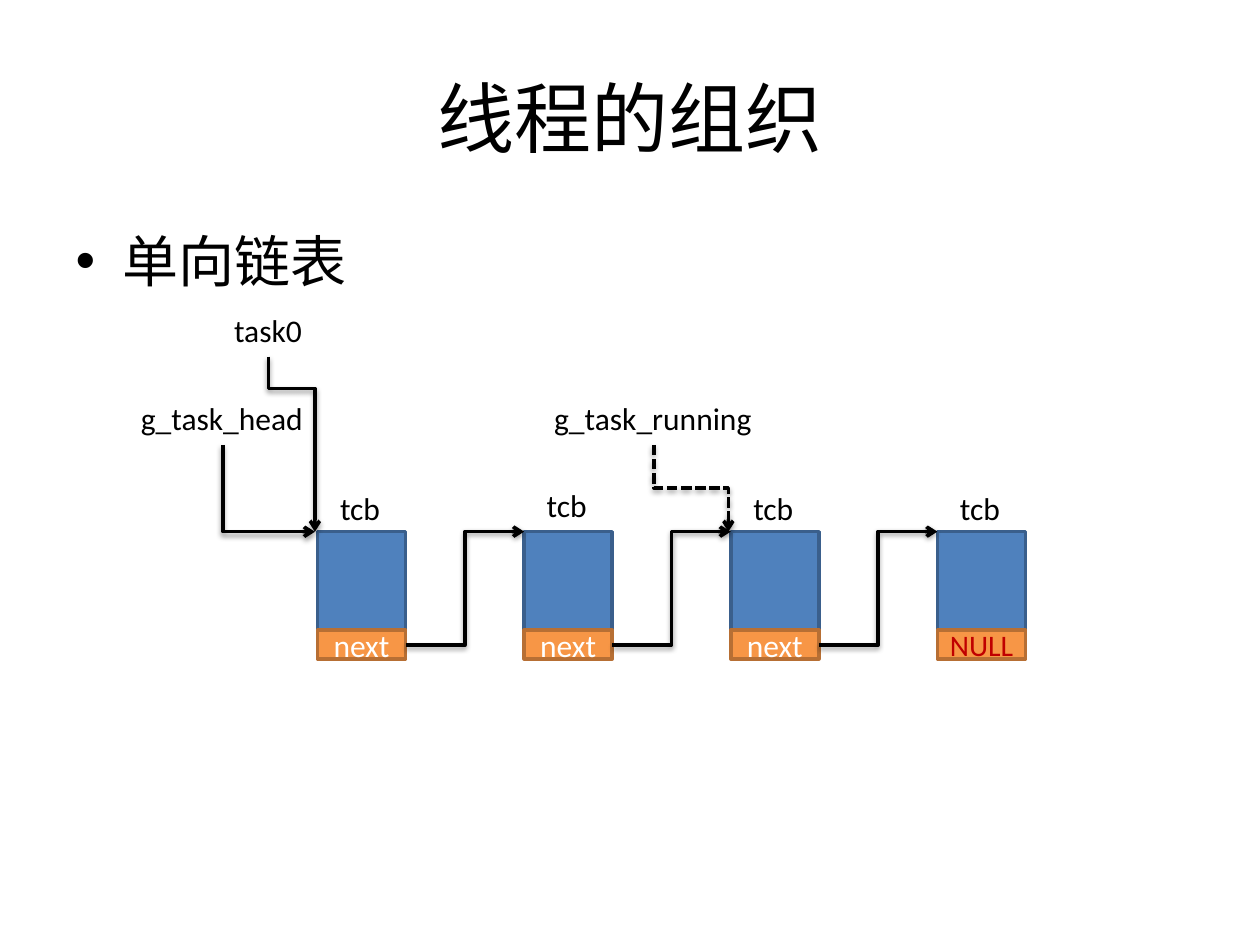
from typing import NamedTuple

from lxml.etree import SubElement as Sub
from pptx import Presentation
from pptx.dml.color import RGBColor
from pptx.enum.dml import MSO_LINE
from pptx.enum.shapes import MSO_CONNECTOR as Conn, MSO_SHAPE as Shape
from pptx.enum.text import MSO_ANCHOR as Anchor, MSO_AUTO_SIZE as Auto, PP_ALIGN as Align
from pptx.oxml.ns import qn
from pptx.util import Inches, Pt

BLACK = RGBColor(0x00, 0x00, 0x00)
WHITE = RGBColor(0xFF, 0xFF, 0xFF)
RED = RGBColor(0xC0, 0x00, 0x00)
BLUE = RGBColor(0x4F, 0x81, 0xBD)
NAVY = RGBColor(0x3A, 0x5F, 0x8C)
ORANGE = RGBColor(0xF7, 0x96, 0x46)
BROWN = RGBColor(0xB7, 0x6F, 0x34)

LEFT, TOP, STEP = 2.52, 4.22, 1.64
WIDTH, TALL, SLOT = 0.7, 0.78, 0.23


class Node(NamedTuple):
    text: str
    size: int
    color: RGBColor
    tag: float


class Label(NamedTuple):
    text: str
    x: float
    y: float
    width: float


class Link(NamedTuple):
    x1: float
    y1: float
    x2: float
    y2: float
    down: bool = True
    kind: str = "bentConnector3"
    bend: float = 0.5
    dash: bool = False


NODES = [
    Node("next", 18, WHITE, 3.83),
    Node("next", 18, WHITE, 3.81),
    Node("next", 18, WHITE, 3.83),
    Node("NULL", 17, RED, 3.83),
]
LABELS = [
    Label("g_task_head", 1.02, 3.12, 1.5),
    Label("g_task_running", 4.3, 3.12, 1.79),
    Label("task0", 1.76, 2.42, 0.74),
]
LINKS = [
    Link(1.77, 3.53, 2.5, TOP, kind="bentConnector2"),
    Link(5.19, 3.53, 5.78, TOP, dash=True),
    Link(2.13, 2.83, 2.5, TOP, bend=0.183),
]

deck = Presentation()
deck.slide_width, deck.slide_height = Inches(10), Inches(7.5)
slide = deck.slides.add_slide(deck.slide_layouts[1])
shapes = slide.shapes


def style(para, size: int, color: RGBColor) -> None:
    para.font.name = "Calibri"
    para.font.size = Pt(size)
    para.font.color.rgb = color


def fill_holder(holder, text: str, size: int, y: float, height: float) -> None:
    holder.left, holder.top = Inches(0.5), Inches(y)
    holder.width, holder.height = Inches(9), Inches(height)
    holder.text_frame.text = text
    style(holder.text_frame.paragraphs[0], size, BLACK)


def add_box(x: float, y: float, height: float, fill: RGBColor, edge: RGBColor):
    box = shapes.add_shape(
        Shape.RECTANGLE, Inches(x), Inches(y), Inches(WIDTH), Inches(height))
    box.shadow.inherit = False
    box.fill.solid()
    box.fill.fore_color.rgb = fill
    box.line.color.rgb = edge
    box.line.width = Pt(2)
    return box


def add_label(label: Label) -> None:
    box = shapes.add_textbox(
        Inches(label.x), Inches(label.y), Inches(label.width), Inches(0.4))
    frame = box.text_frame
    frame.word_wrap = False
    frame.auto_size = Auto.SHAPE_TO_FIT_TEXT
    frame.text = label.text
    style(frame.paragraphs[0], 18, BLACK)


def add_node(x: float, node: Node) -> None:
    add_box(x, TOP, TALL, BLUE, NAVY)
    frame = add_box(x, TOP + TALL, SLOT, ORANGE, BROWN).text_frame
    frame.margin_left = frame.margin_right = Inches(0)
    frame.vertical_anchor = Anchor.MIDDLE
    frame.text = node.text
    frame.paragraphs[0].alignment = Align.CENTER
    style(frame.paragraphs[0], node.size, node.color)
    add_label(Label("tcb", x + 0.08, node.tag, 0.52))


def add_link(link: Link) -> None:
    x1, y1, x2, y2 = link[:4]
    if link.down:
        mid_x, mid_y = (x1 + x2) / 2, (y1 + y2) / 2
        half_w, half_h = (y2 - y1) / 2, (x2 - x1) / 2
        x1, x2 = mid_x + half_w, mid_x - half_w
        y1, y2 = mid_y - half_h, mid_y + half_h
    line = shapes.add_connector(
        Conn.ELBOW, Inches(x1), Inches(y1), Inches(x2), Inches(y2))
    line.line.color.rgb = BLACK
    line.line.width = Pt(2)
    if link.dash:
        line.line.dash_style = MSO_LINE.SQUARE_DOT
    props = line._element.spPr
    if link.down:
        props.find(qn("a:xfrm")).set("rot", "16200000")
    geom = props.find(qn("a:prstGeom"))
    geom.set("prst", link.kind)
    if link.kind == "bentConnector3":
        Sub(geom.find(qn("a:avLst")), qn("a:gd"), name="adj1",
            fmla=f"val {round(link.bend * 100000)}")
    Sub(props.find(qn("a:ln")), qn("a:tailEnd"), type="arrow")
    shadow = Sub(
        Sub(props, qn("a:effectLst")), qn("a:outerShdw"), blurRad=str(Pt(3.1)),
        dist=str(Pt(1.6)), dir="5400000", rotWithShape="0")
    Sub(Sub(shadow, qn("a:srgbClr"), val=str(BLACK)), qn("a:alpha"), val="38000")


fill_holder(shapes.title, "线程的组织", 44, 0.3, 1.25)
fill_holder(slide.placeholders[1], "单向链表", 32, 1.75, 4.95)

for i, node in enumerate(NODES):
    x = LEFT + i * STEP
    add_node(x, node)
    if i:
        LINKS.append(Link(x - STEP + WIDTH, 5.12, x, TOP, down=False))
for label in LABELS:
    add_label(label)
for link in LINKS:
    add_link(link)

deck.save("out.pptx")
